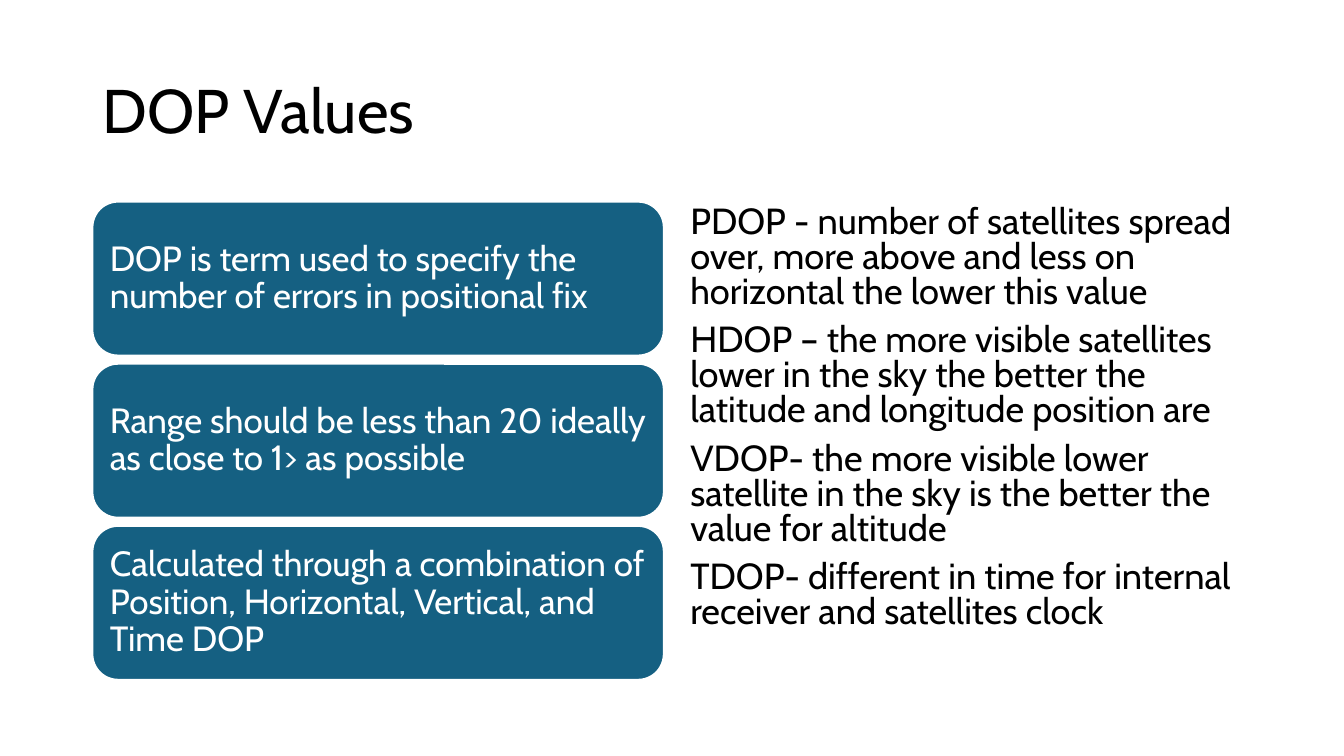
from pptx import Presentation
from pptx.dml.color import RGBColor
from pptx.enum.shapes import MSO_SHAPE
from pptx.enum.text import MSO_ANCHOR, PP_ALIGN
from pptx.util import Pt

BLACK = RGBColor(0x00, 0x00, 0x00)
WHITE = RGBColor(0xFF, 0xFF, 0xFF)
TEAL = RGBColor(0x15, 0x60, 0x82)
FONT = "Cabin"

LEFT, TOP = 66, 144
COLUMN_W = 408.24
BODY_LEFT = 486
CARD_H, CARD_PITCH = 110, 115.8

CARDS = [
    "DOP is term used to specify the number of errors in positional fix",
    "Range should be less than 20 ideally as close to 1> as possible",
    "Calculated through a combination of Position, Horizontal, Vertical, and Time DOP",
]
DEFINITIONS = [
    "PDOP - number of satellites spread over, more\u00a0above and less on horizontal the lower this value",
    "HDOP – the more visible satellites lower in the sky the better the latitude and longitude position are",
    "VDOP- the more visible lower satellite in the sky is the better the value for altitude",
    "TDOP- different in time for internal receiver and satellites clock",
]


def set_text(sp, texts, size, color, frame, paragraph):
    """Write one paragraph per text, with formats for the frame and paragraphs."""
    tf = sp.text_frame
    tf.word_wrap = True
    for name, value in frame.items():
        setattr(tf, name, value)
    for i, text in enumerate(texts):
        p = tf.add_paragraph() if i else tf.paragraphs[0]
        for name, value in paragraph.items():
            setattr(p, name, value)
        r = p.add_run()
        r.text = text
        for name, value in {"name": FONT, "size": Pt(size)}.items():
            setattr(r.font, name, value)
        r.font.color.rgb = color


def add_text(s, box, texts, size, frame, paragraph):
    sp = s.shapes.add_textbox(*map(Pt, box))
    set_text(sp, texts, size, BLACK, frame, paragraph)


def add_card(s, top, text):
    sp = s.shapes.add_shape(MSO_SHAPE.ROUNDED_RECTANGLE,
                            Pt(LEFT), Pt(top), Pt(COLUMN_W), Pt(CARD_H))
    sp.shadow.inherit = False
    sp.fill.solid()
    sp.fill.fore_color.rgb = TEAL
    sp.line.color.rgb = WHITE
    sp.line.width = Pt(1.5)
    margins = {f"margin_{side}": Pt(7.2) for side in ("left", "right", "top", "bottom")}
    set_text(sp, [text], 25, WHITE,
             {"vertical_anchor": MSO_ANCHOR.MIDDLE, **margins},
             {"alignment": PP_ALIGN.LEFT, "line_spacing": 0.9})


def main():
    prs = Presentation()
    prs.slide_width, prs.slide_height = Pt(960), Pt(540)
    s = prs.slides.add_slide(prs.slide_layouts[6])

    add_text(s, (LEFT, 28.8, 828, 104.4), ["DOP Values"], 44,
             {"vertical_anchor": MSO_ANCHOR.MIDDLE}, {"line_spacing": 0.9})
    for i, text in enumerate(CARDS):
        add_card(s, TOP + i * CARD_PITCH, text)
    add_text(s, (BODY_LEFT, TOP, COLUMN_W, 342.7), DEFINITIONS, 25.9,
             {"vertical_anchor": MSO_ANCHOR.TOP},
             {"line_spacing": 0.8, "space_before": Pt(10)})

    prs.save("out.pptx")


if __name__ == "__main__":
    main()
